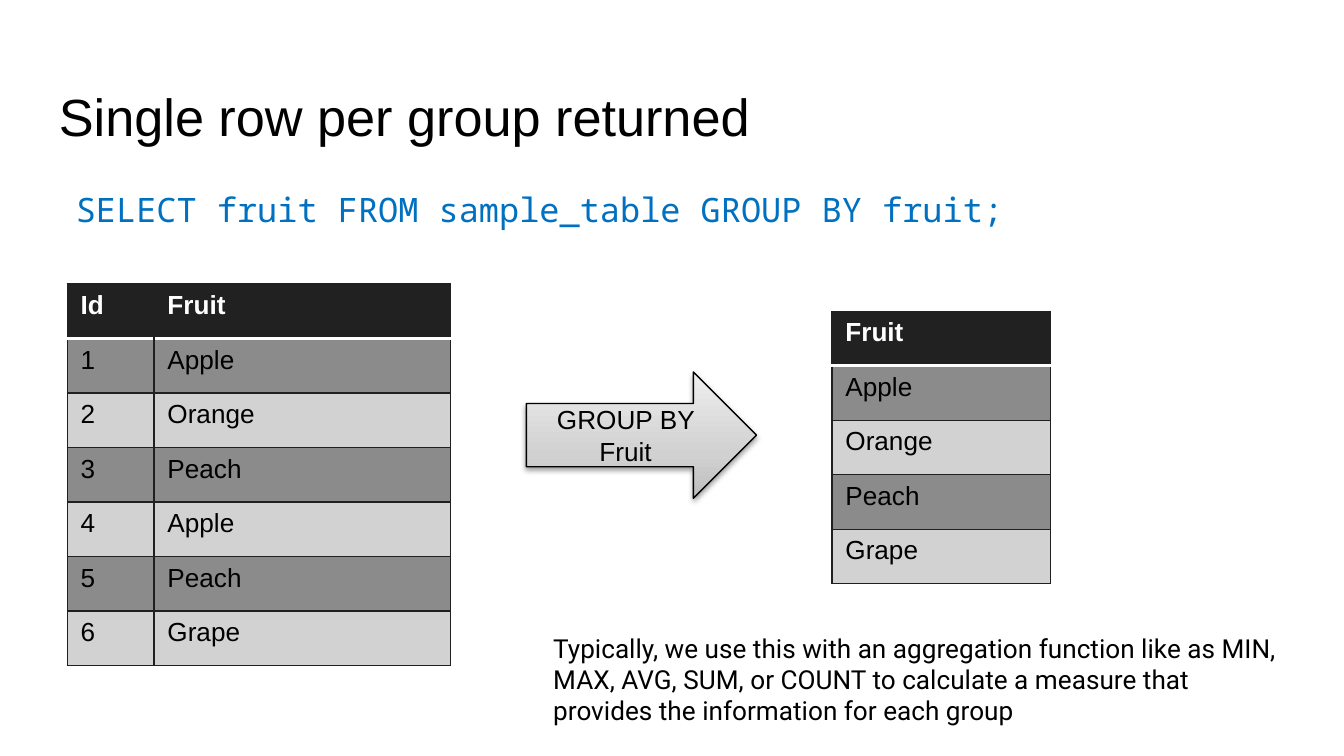
from lxml.etree import SubElement
from pptx import Presentation
from pptx.dml.color import RGBColor
from pptx.enum.shapes import MSO_SHAPE
from pptx.enum.text import MSO_ANCHOR, PP_ALIGN
from pptx.oxml.ns import qn
from pptx.util import Pt

BLACK = RGBColor(0x00, 0x00, 0x00)
WHITE = RGBColor(0xFF, 0xFF, 0xFF)
BLUE = RGBColor(0x00, 0x70, 0xC0)
HEADER = RGBColor(0x21, 0x21, 0x21)
BORDER = RGBColor(0x20, 0x20, 0x20)
DARK_ROW = RGBColor(0x8B, 0x8B, 0x8B)
LIGHT_ROW = RGBColor(0xD2, 0xD2, 0xD2)
ARROW_STOPS = [
    (0, RGBColor(0xBD, 0xBD, 0xBD)),
    (35, RGBColor(0xD1, 0xD1, 0xD1)),
    (100, RGBColor(0xEE, 0xEE, 0xEE)),
]
ROW_HEIGHT = 29.2
FRUITS = ["Apple", "Orange", "Peach", "Apple", "Peach", "Grape"]


def add_run(p, text, size, font, color, bold=False):
    r = p.add_run()
    r.text = text
    r.font.size = Pt(size)
    r.font.name = font
    r.font.color.rgb = color
    r.font.bold = bold


def add_text(slide, box, text, size, font, color, inset=(7.2, 3.6)):
    tf = slide.shapes.add_textbox(*map(Pt, box)).text_frame
    tf.word_wrap = True
    tf.margin_left = tf.margin_right = Pt(inset[0])
    tf.margin_top = tf.margin_bottom = Pt(inset[1])
    p = tf.paragraphs[0]
    add_run(p, text, size, font, color)
    return p


def add_color(parent, color):
    return SubElement(parent, qn("a:srgbClr"), val=str(color))


def set_border(cell, side, color, width=0.75):
    ln = SubElement(cell._tc.get_or_add_tcPr(), qn(f"a:ln{side}"), w=str(Pt(width)))
    if color is None:
        SubElement(ln, qn("a:noFill"))
    else:
        add_color(SubElement(ln, qn("a:solidFill")), color)


def style_cell(cell, row, first, last):
    header = row == 0
    set_border(cell, "L", BORDER if first or not header else None)
    set_border(cell, "R", BORDER if last or not header else None)
    if row == 1:
        set_border(cell, "T", WHITE, 2)
    else:
        set_border(cell, "T", BORDER)
    if header:
        set_border(cell, "B", WHITE, 2)
    else:
        set_border(cell, "B", BORDER)
    cell.fill.solid()
    cell.fill.fore_color.rgb = HEADER if header else DARK_ROW if row % 2 else LIGHT_ROW


def add_grid(slide, left, top, widths, rows):
    shape = slide.shapes.add_table(
        len(rows), len(widths), Pt(left), Pt(top),
        Pt(sum(widths)), Pt(ROW_HEIGHT * len(rows)))
    table = shape.table
    for column, width in zip(table.columns, widths):
        column.width = Pt(width)
    for i, values in enumerate(rows):
        table.rows[i].height = Pt(ROW_HEIGHT)
        for j, value in enumerate(values):
            cell = table.cell(i, j)
            style_cell(cell, i, j == 0, j == len(widths) - 1)
            add_run(cell.text_frame.paragraphs[0], value, 14, "Arial",
                    WHITE if i == 0 else BLACK, i == 0)


def set_gradient(sp, stops, angle):
    sp.fill.gradient()
    sp.fill.gradient_angle = angle
    gs_list = sp._element.spPr.find(qn("a:gradFill")).find(qn("a:gsLst"))
    for gs in list(gs_list):
        gs_list.remove(gs)
    for position, color in stops:
        add_color(SubElement(gs_list, qn("a:gs"), pos=str(position * 1000)), color)


def set_shadow(sp, color, alpha, blur, distance, angle):
    sp.shadow.inherit = False
    effects = sp._element.spPr.find(qn("a:effectLst"))
    shadow = SubElement(effects, qn("a:outerShdw"), blurRad=str(Pt(blur)),
                        dist=str(Pt(distance)), dir=str(angle * 60000), rotWithShape="0")
    SubElement(add_color(shadow, color), qn("a:alpha"), val=str(alpha * 1000))


def add_arrow(slide, box, text):
    sp = slide.shapes.add_shape(MSO_SHAPE.RIGHT_ARROW, *map(Pt, box))
    set_gradient(sp, ARROW_STOPS, 90)
    sp.line.color.rgb = BLACK
    sp.line.width = Pt(0.75)
    set_shadow(sp, BLACK, 38, 3.1, 1.6, 90)
    tf = sp.text_frame
    tf.word_wrap = True
    tf.vertical_anchor = MSO_ANCHOR.MIDDLE
    p = tf.paragraphs[0]
    p.alignment = PP_ALIGN.CENTER
    add_run(p, text, 14, "Arial", BLACK)


def main():
    prs = Presentation()
    prs.slide_width, prs.slide_height = Pt(720), Pt(405)
    s = prs.slides.add_slide(prs.slide_layouts[6])

    add_text(s, (24.5, 38, 671, 45), "Single row per group returned",
             28, "Arial", BLACK, (7.2, 7.2))
    query = add_text(s, (24.5, 90.7, 671, 269), "SELECT fruit FROM sample_table GROUP BY fruit;",
                     18, "Noto Sans Mono", BLUE, (7.2, 7.2))
    query.line_spacing = 1.15
    query._p.get_or_add_pPr().set("marL", str(Pt(9)))

    rows = [(str(i), fruit) for i, fruit in enumerate(FRUITS, 1)]
    add_grid(s, 36, 152.2, [46.5, 159], [("Id", "Fruit")] + rows)
    add_arrow(s, (282, 199.3, 123.3, 67.7), "GROUP BY Fruit")
    groups = [(fruit,) for fruit in dict.fromkeys(FRUITS)]
    add_grid(s, 445.7, 166.8, [117], [("Fruit",)] + groups)

    add_text(s, (289.3, 335, 402, 58),
             "Typically, we use this with an aggregation function like "
             "as MIN, MAX, AVG, SUM, or COUNT to calculate a measure "
             "that provides the information for each group",
             14, "Roboto", BLACK)
    prs.save("out.pptx")


if __name__ == "__main__":
    main()
